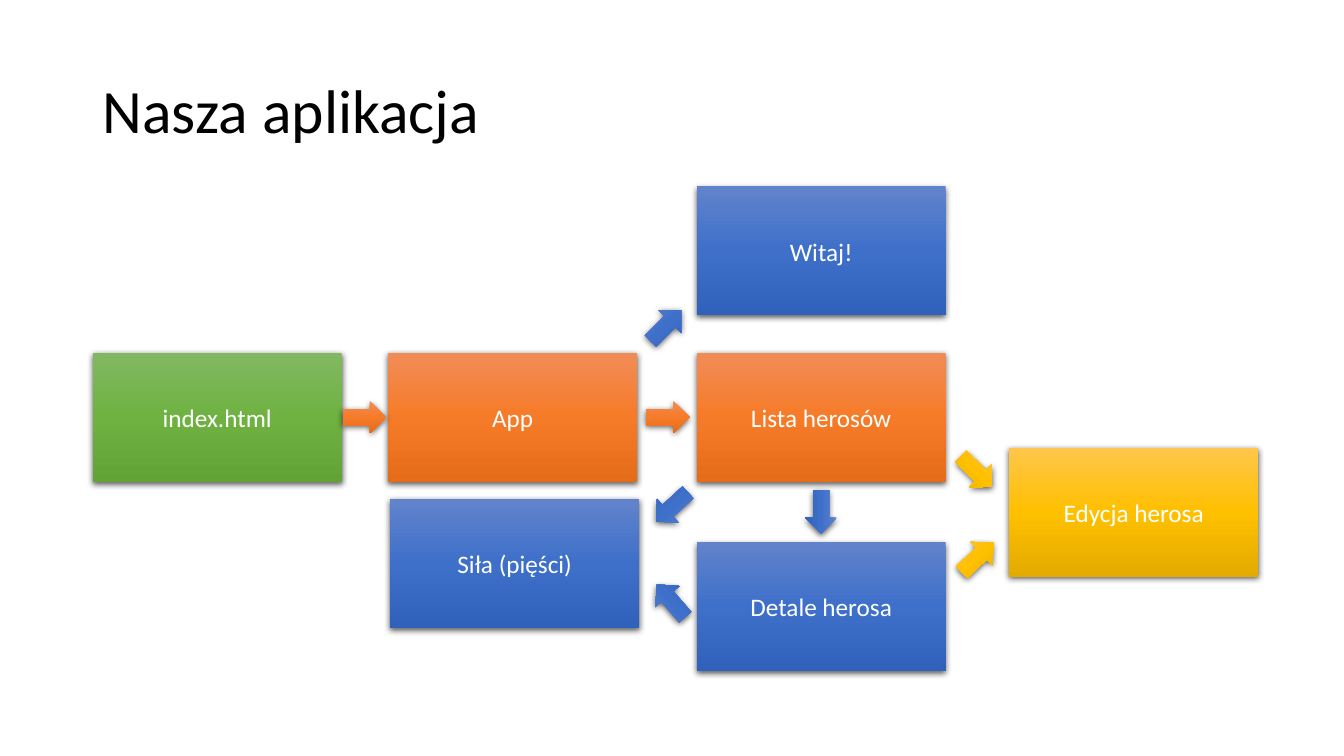
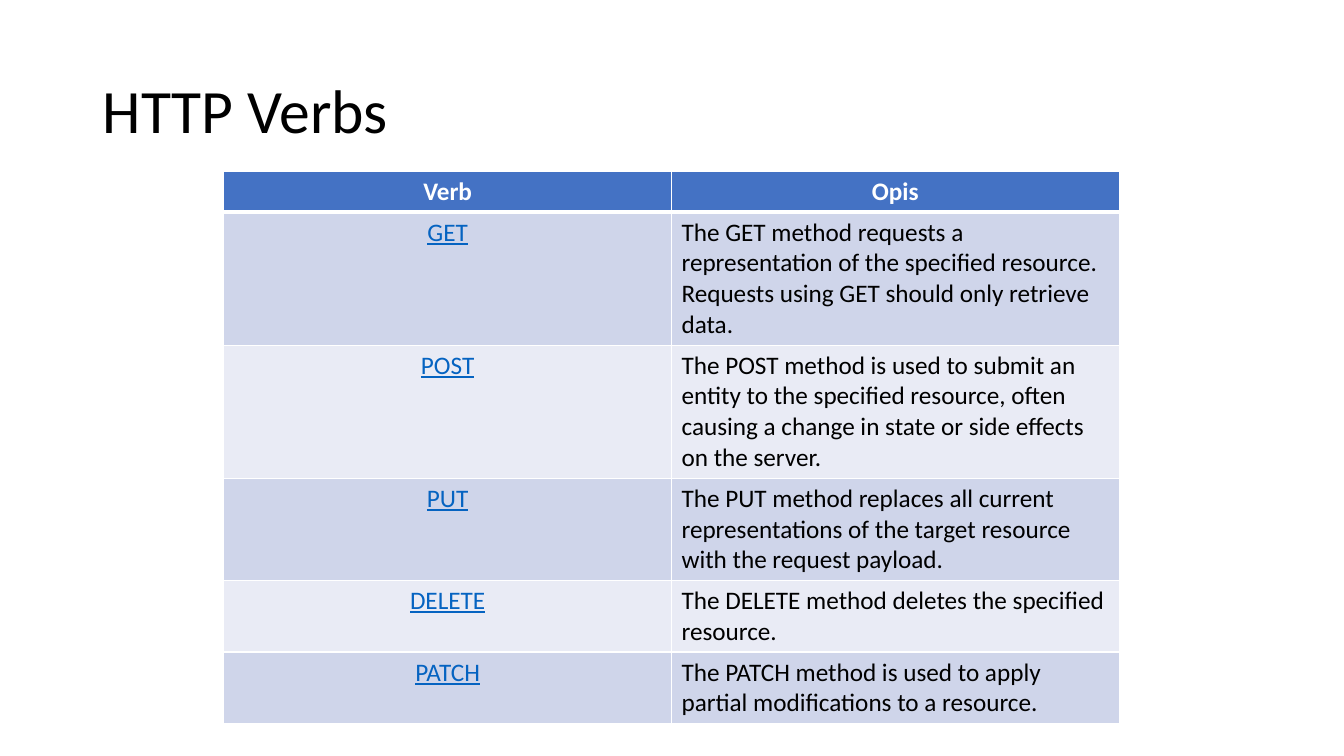
from dataclasses import dataclass

from lxml import etree
from pptx import Presentation, util as u
from pptx.dml.color import RGBColor
from pptx.enum import shapes, text
from pptx.oxml import ns

FONT = "Calibri"
BLACK, WHITE = "000000", "FFFFFF"
HEADER, LINK = "4472C4", "0563C1"
BANDS = ("CFD5EA", "E9EBF5")

BLUE = ("6183CB", "3E70CA", "3062BB")
ORANGE = ("F18C57", "F67B28", "E56C19")
GREEN = ("81B861", "6FB242", "62A336")
GOLD = ("FFC64B", "FFC000", "E3AB00")

BOX_SIZE = (2.47, 1.28)
ARROW_SIZE = (0.43, 0.32)
ENTRY_X, APP_X, HERO_X, EDIT_X = 0.92, 3.85, 6.91, 10.01
MAIN_Y = 3.5
MAIN_ARROW_Y = 3.98
LINE_HEIGHT, CELL_PADDING = 0.305, 0.1


@dataclass(frozen=True)
class Box:
    label: str
    left: float
    top: float
    shades: tuple[str, str, str]


@dataclass(frozen=True)
class Arrow:
    left: float
    top: float
    shades: tuple[str, str, str]
    angle: float = 0


@dataclass(frozen=True)
class Verb:
    name: str
    description: str
    lines: int


BOXES = (
    Box("Witaj!", HERO_X, 1.85, BLUE),
    Box("Lista herosów", HERO_X, MAIN_Y, ORANGE),
    Box("Detale herosa", HERO_X, 5.38, BLUE),
    Box("Siła (pięści)", 3.87, 4.95, BLUE),
    Box("App", APP_X, MAIN_Y, ORANGE),
    Box("index.html", ENTRY_X, MAIN_Y, GREEN),
    Box("Edycja herosa", EDIT_X, 4.44, GOLD),
)

ARROWS = (
    Arrow(3.4, MAIN_ARROW_Y, ORANGE),
    Arrow(6.41, MAIN_ARROW_Y, ORANGE),
    Arrow(6.39, 3.07, BLUE, 314.9),
    Arrow(7.93, 4.92, BLUE, 90),
    Arrow(9.47, 4.52, GOLD, 44.5),
    Arrow(9.48, 5.37, GOLD, 317),
    Arrow(6.45, 4.87, BLUE, 137.5),
    Arrow(6.44, 5.8, BLUE, 229.2),
)

VERBS = (
    Verb("GET", "requests a representation of the specified resource. "
         "Requests using\u00a0GET\u00a0should only retrieve data.", 4),
    Verb("POST", "is used to submit an entity to the specified resource, often "
         "causing a change in state or side effects on the server.", 4),
    Verb("PUT", "replaces all current representations of the target resource "
         "with the request payload.", 3),
    Verb("DELETE", "deletes the specified resource.", 2),
    Verb("PATCH", "is used to apply partial modifications to a resource.", 2),
)


def color(value: str) -> RGBColor:
    return RGBColor.from_string(value)


def add_xml(parent, tag: str, **attributes):
    return etree.SubElement(
        parent, ns.qn(tag), {key: str(value) for key, value in attributes.items()}
    )


def write(frame, content: str, size: float, ink: str, centered: bool = False,
          bold: bool = False, underline: bool = False):
    paragraph = frame.paragraphs[0]
    paragraph.text = content
    font = paragraph.font
    font.name, font.size, font.color.rgb = FONT, u.Pt(size), color(ink)
    font.bold, font.underline = bold, underline
    paragraph.alignment = text.PP_ALIGN.CENTER if centered else text.PP_ALIGN.LEFT
    return paragraph


def add_titled_slide(deck, title: str):
    slide = deck.slides.add_slide(deck.slide_layouts[6])
    heading = slide.shapes.add_textbox(
        u.Inches(0.92), u.Inches(0.4), u.Inches(11.5), u.Inches(1.45)
    )
    frame = heading.text_frame
    frame.word_wrap = True
    frame.vertical_anchor = text.MSO_ANCHOR.MIDDLE
    write(frame, title, 44, BLACK).line_spacing = 0.9
    return slide


def add_glossy_shape(slide, kind, left: float, top: float,
                     size: tuple[float, float], shades: tuple[str, str, str]):
    shape = slide.shapes.add_shape(
        kind, u.Inches(left), u.Inches(top), *map(u.Inches, size)
    )
    shape.fill.gradient()
    shape.fill.gradient_angle = 270
    shape.line.fill.background()
    shape.shadow.inherit = False
    properties = shape.element.spPr

    stops = properties.find(".//" + ns.qn("a:gsLst"))
    for stop in list(stops):
        stops.remove(stop)
    for position, shade in zip((0, 50000, 100000), shades):
        add_xml(add_xml(stops, "a:gs", pos=position), "a:srgbClr", val=shade)

    effects = properties.find(ns.qn("a:effectLst"))
    shadow = add_xml(effects, "a:outerShdw", blurRad=u.Pt(4.5), dist=u.Pt(1.5),
                     dir=5400000, algn="ctr", rotWithShape=0)
    add_xml(add_xml(shadow, "a:srgbClr", val=BLACK), "a:alpha", val=63000)
    return shape


def add_box(slide, box: Box) -> None:
    shape = add_glossy_shape(slide, shapes.MSO_SHAPE.RECTANGLE, box.left, box.top,
                             BOX_SIZE, box.shades)
    shape.text_frame.vertical_anchor = text.MSO_ANCHOR.MIDDLE
    write(shape.text_frame, box.label, 18, WHITE, centered=True)


def add_arrow(slide, arrow: Arrow) -> None:
    shape = add_glossy_shape(slide, shapes.MSO_SHAPE.RIGHT_ARROW, arrow.left,
                             arrow.top, ARROW_SIZE, arrow.shades)
    shape.rotation = arrow.angle


def style_cell(cell, fill: str, top: float = 1, bottom: float = 1) -> None:
    properties = cell._tc.get_or_add_tcPr()
    for side, width in (("L", 1), ("R", 1), ("T", top), ("B", bottom)):
        border = add_xml(properties, f"a:ln{side}", w=u.Pt(width))
        add_xml(add_xml(border, "a:solidFill"), "a:srgbClr", val=WHITE)
    cell.fill.solid()
    cell.fill.fore_color.rgb = color(fill)


def add_verb_table(slide, verbs: tuple[Verb, ...]) -> None:
    heights = [CELL_PADDING + LINE_HEIGHT * lines
               for lines in (1, *(verb.lines for verb in verbs))]
    table = slide.shapes.add_table(
        len(heights), 2, u.Inches(2.22), u.Inches(1.7),
        u.Inches(8.88), u.Inches(sum(heights))
    ).table
    for row, height in zip(table.rows, heights):
        row.height = u.Inches(height)

    for column, heading in enumerate(("Verb", "Opis")):
        cell = table.cell(0, column)
        style_cell(cell, HEADER, bottom=3)
        write(cell.text_frame, heading, 18, WHITE, centered=True, bold=True)

    for index, verb in enumerate(verbs):
        name, description = table.rows[index + 1].cells
        for cell in (name, description):
            style_cell(cell, BANDS[index % 2], top=3 if index == 0 else 1)
        write(name.text_frame, verb.name, 18, LINK, centered=True, underline=True)
        write(description.text_frame,
              f"The\u00a0{verb.name}\u00a0method {verb.description}", 18, BLACK)


def main() -> None:
    deck = Presentation()
    deck.slide_width, deck.slide_height = u.Inches(13.33), u.Inches(7.5)

    application = add_titled_slide(deck, "Nasza aplikacja")
    for box in BOXES:
        add_box(application, box)
    for arrow in ARROWS:
        add_arrow(application, arrow)

    add_verb_table(add_titled_slide(deck, "HTTP Verbs"), VERBS)
    deck.save("out.pptx")


main()
